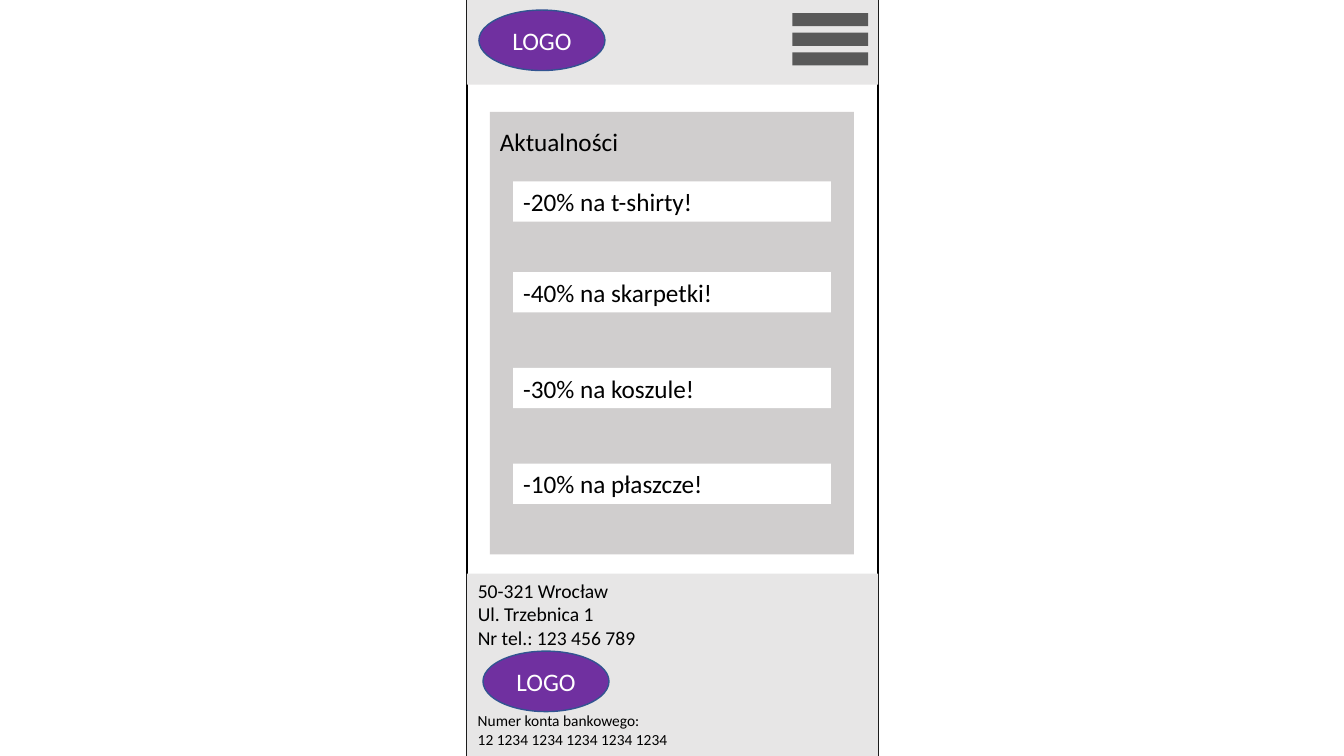
import pptx
import pptx.util
import pptx.dml.color
import pptx.enum.shapes
import pptx.enum.text

Inches = pptx.util.Inches
Pt = pptx.util.Pt
SHAPE = pptx.enum.shapes.MSO_SHAPE
ALIGN = pptx.enum.text.PP_ALIGN
ANCHOR = pptx.enum.text.MSO_ANCHOR


def color(value):
    """Turn a hex string into a colour."""
    return pptx.dml.color.RGBColor.from_string(value)


class Mockup:
    """Draws wireframe elements on one slide in a shared style."""

    font = "Calibri"
    black, white, bar, panel = "000000", "FFFFFF", "E7E6E6", "D0CECE"
    icon, logo_fill, logo_line = "595959", "7030A0", "325491"

    def __init__(self, slide):
        """Keep the slide to draw on."""
        self.s = slide

    def shape(self, kind, x, y, w, h, fill, line=None):
        """Add a filled shape with an optional 1 pt outline."""
        sp = self.s.shapes.add_shape(kind, Inches(x), Inches(y), Inches(w), Inches(h))
        sp.shadow.inherit = False
        sp.fill.solid()
        sp.fill.fore_color.rgb = color(fill)
        if line:
            sp.line.color.rgb = color(line)
            sp.line.width = Pt(1)
        else:
            sp.line.fill.background()
        return sp

    def rect(self, x, y, w, h, fill, line=None):
        """Add a rectangle."""
        return self.shape(SHAPE.RECTANGLE, x, y, w, h, fill, line)

    def put_text(self, sp, lines, size, ink=black, align=ALIGN.LEFT, anchor=ANCHOR.TOP):
        """Put one paragraph per line into a shape."""
        tf = sp.text_frame
        tf.word_wrap = True
        tf.vertical_anchor = anchor
        tf.text = "\n".join(lines)
        for p in tf.paragraphs:
            p.alignment = align
            p.font.name = self.font
            p.font.size = Pt(size)
            p.font.color.rgb = color(ink)

    def label(self, x, y, w, h, lines, size):
        """Add a text box."""
        sp = self.s.shapes.add_textbox(Inches(x), Inches(y), Inches(w), Inches(h))
        self.put_text(sp, lines, size)

    def logo(self, x, y):
        """Add an oval logo placeholder."""
        sp = self.shape(SHAPE.OVAL, x, y, 1.25, 0.6, self.logo_fill, self.logo_line)
        self.put_text(sp, ["LOGO"], 18, self.white, ALIGN.CENTER, ANCHOR.MIDDLE)

    def menu(self, x, y):
        """Add a three-bar menu icon."""
        for i in range(3):
            self.rect(x, y + i * 0.39 / 2, 0.75, 0.13, self.icon)

    def news(self, y, offer):
        """Add a news entry."""
        self.put_text(self.rect(5.09, y, 3.15, 0.4, self.white), [offer], 18)


prs = pptx.Presentation()
prs.slide_width, prs.slide_height = Inches(13.33), Inches(7.5)
m = Mockup(prs.slides.add_slide(prs.slide_layouts[6]))

left, width = 4.63, 4.08
m.rect(left, 0, width, 7.5, m.white, m.black)
m.rect(left, 0, width, 0.84, m.bar)
m.logo(4.75, 0.1)
m.menu(7.86, 0.13)

m.rect(left, 5.69, width, 1.81, m.bar)
address = ["50-321 Wrocław", "Ul. Trzebnica 1", "Nr tel.: 123 456 789"]
m.label(4.64, 5.69, 3.22, 0.81, address, 14)
account = ["Numer konta bankowego:", "12 1234 1234 1234 1234 1234"]
m.label(4.64, 7.01, 3.57, 0.47, account, 11)
m.logo(4.79, 6.46)

m.rect(4.86, 1.11, 3.61, 4.39, m.panel)
m.label(4.86, 1.2, 1.7, 0.4, ["Aktualności"], 18)
offers = {
    1.8: "-20% na t-shirty!",
    2.7: "-40% na skarpetki!",
    3.65: "-30% na koszule!",
    4.6: "-10% na płaszcze!",
}
for y, offer in offers.items():
    m.news(y, offer)

prs.save("out.pptx")
